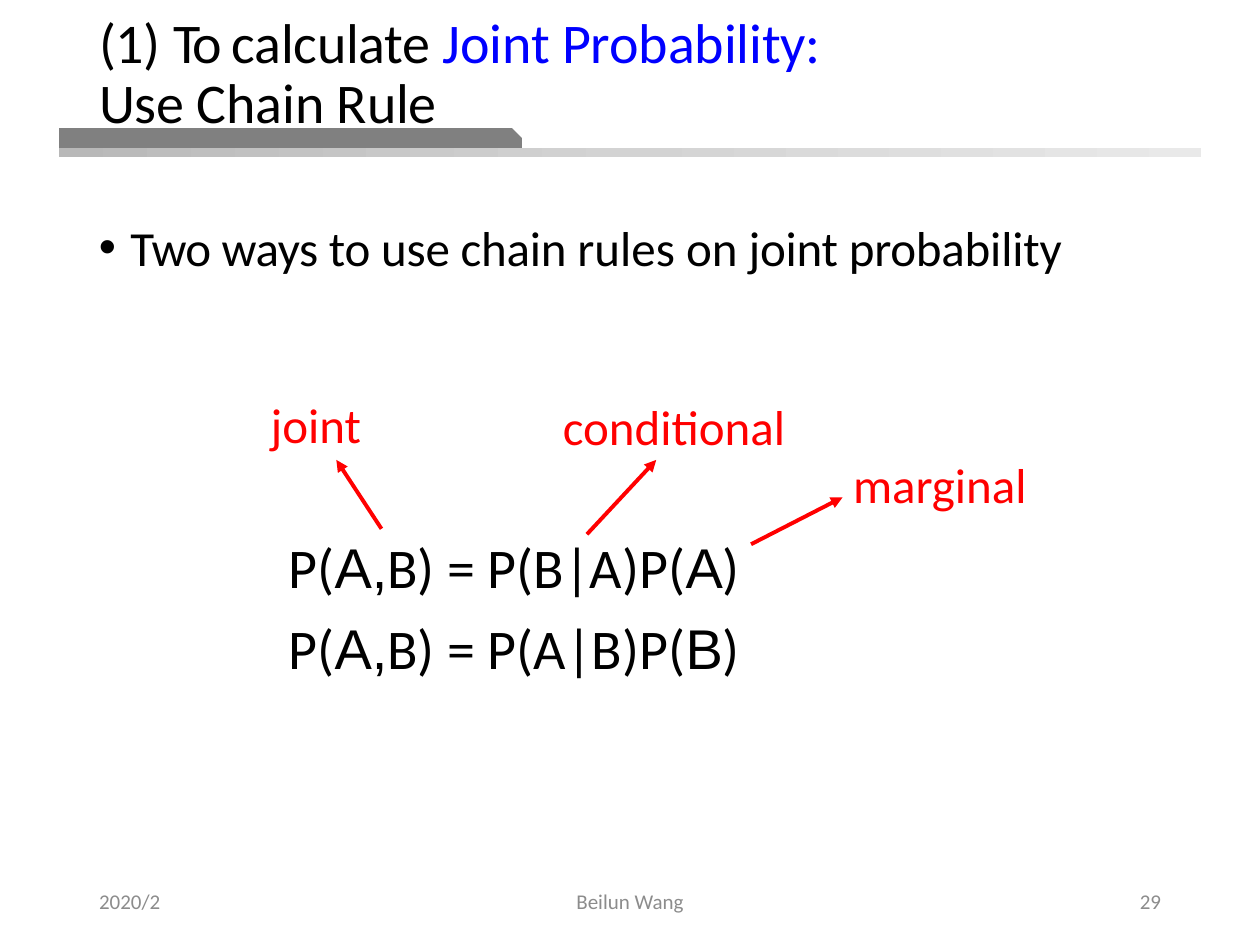
from copy import deepcopy
from typing import NamedTuple

from pptx import Presentation
from pptx.dml.color import RGBColor
from pptx.enum.shapes import MSO_CONNECTOR, MSO_SHAPE
from pptx.enum.text import MSO_ANCHOR, PP_ALIGN
from pptx.oxml.ns import qn
from pptx.oxml.xmlchemy import OxmlElement
from pptx.util import Pt

BLACK, BLUE, RED, GREY = "000000", "0000FF", "FF0000", "8C8C8C"


class Run(NamedTuple):
    text: str
    gap: float = 0
    color: str = BLACK
    font: str = "Calibri"


class Box(NamedTuple):
    left: float
    top: float
    width: float
    height: float


class Label(NamedTuple):
    text: str
    box: Box


class Arrow(NamedTuple):
    x1: float
    y1: float
    x2: float
    y2: float


class Foot(NamedTuple):
    text: str
    box: Box
    align: PP_ALIGN


def paint(code: str) -> RGBColor:
    return RGBColor.from_string(code)


def apply(target, style: dict) -> None:
    for name, value in style.items():
        setattr(target, name, value)


def add_frame(slide, box: Box, **style):
    frame = slide.shapes.add_textbox(*map(Pt, box)).text_frame
    apply(frame, {"word_wrap": True, **style})
    return frame


def add_runs(para, runs: list[Run], size: float, **style) -> None:
    apply(para, style)
    for item in runs:
        run = para.add_run()
        run.text = item.text
        apply(run.font, {"size": Pt(size), "name": item.font})
        run.font.color.rgb = paint(item.color)
        if item.gap:
            run._r.get_or_add_rPr().set("spc", str(round(item.gap * 100)))


def add_bar(slide, kind: MSO_SHAPE, box: Box):
    bar = slide.shapes.add_shape(kind, *map(Pt, box))
    bar.shadow.inherit = False
    bar.line.fill.background()
    return bar


def add_arrow(slide, arrow: Arrow) -> None:
    line = slide.shapes.add_connector(MSO_CONNECTOR.STRAIGHT, *map(Pt, arrow))
    line.line.width = Pt(2.25)
    line.line.color.rgb = paint(RED)
    tail = OxmlElement("a:tailEnd")
    tail.set("type", "triangle")
    line.line._get_or_add_ln().append(tail)
    line._element.spPr.append(OxmlElement("a:effectLst"))


def add_rule(slide) -> None:
    # Fading strip with three colour stops
    strip = add_bar(slide, MSO_SHAPE.RECTANGLE, Box(33.8, 84.4, 652.4, 5.6))
    strip.fill.gradient()
    strip.fill.gradient_angle = 0
    stops = strip._element.spPr.find(f".//{qn('a:gsLst')}")
    stops.insert(1, deepcopy(stops[0]))
    shades = [(0, "B8B8B8"), (0.5, "D3D3D3"), (1, "E9E9E9")]
    for stop, (place, code) in zip(strip.fill.gradient_stops, shades):
        stop.position = place
        stop.color.rgb = paint(code)
    # Dark tab above the strip
    tab = add_bar(slide, MSO_SHAPE.SNIP_1_RECTANGLE, Box(33.8, 73.2, 264.4, 11.4))
    tab.adjustments[0] = 0.5
    tab.fill.solid()
    tab.fill.fore_color.rgb = paint("808080")


def add_title(slide) -> None:
    para = add_frame(slide, Box(49.5, 5, 603.4, 46)).paragraphs[0]
    add_runs(para, [Run("(1) ", -0.1), Run("To ", -1.8), Run("calculate ", -0.2),
                    Run("Joint Probability: ", -0.1, BLUE)], 32, line_spacing=0.9)
    para.add_line_break()
    add_runs(para, [Run("Use Chain Rule", -0.1)], 32)


def add_point(slide) -> None:
    para = add_frame(slide, Box(49.5, 127.5, 621, 359.3)).paragraphs[0]
    add_runs(para, [Run("Two ", -0.4), Run("ways ", -0.2), Run("to use chain ", -0.1),
                    Run("rules on "), Run("joint probability", -0.1)],
             28, line_spacing=0.8, space_before=Pt(10))
    props = para._p.get_or_add_pPr()
    apply_xml = {"marL": Pt(18), "indent": Pt(-18)}
    for name, value in apply_xml.items():
        props.set(name, str(int(value)))
    font, mark = OxmlElement("a:buFont"), OxmlElement("a:buChar")
    font.set("typeface", "Arial")
    mark.set("char", "•")
    props.extend([font, mark])


def add_rules(slide) -> None:
    frame = add_frame(slide, Box(164.2, 295.9, 263.5, 94.3), margin_left=0,
                      margin_right=0, margin_top=Pt(8.6), margin_bottom=0)
    # Greek capitals stand for the events set in Arial
    for row, (given, last, space) in enumerate([("B|A", "Α", 8.7), ("A|B", "Β", 7.7)]):
        para = frame.add_paragraph() if row else frame.paragraphs[0]
        add_runs(para, [Run("P(", -0.1), Run("Α,", -0.1, font="Arial"), Run("B) ", -0.1),
                        Run(f"= P({given})P("), Run(last, font="Arial"), Run(")")],
                 32, space_before=Pt(space))
        para._p.get_or_add_pPr().set("marL", str(int(Pt(0.9))))


LABELS = [
    Label("joint", Box(147.6, 221.8, 68.4, 41)),
    Label("conditional", Box(314.6, 223.2, 165.6, 41)),
    Label("marginal", Box(480.4, 256.3, 126.7, 41)),
]
ARROWS = [
    Arrow(218, 302.2, 192.2, 262.8),
    Arrow(335.4, 305.3, 375, 262.8),
    Arrow(429.2, 311, 481.5, 284.2),
]
FEET = [
    Foot("2020/2", Box(49.5, 500.5, 162, 28.8), PP_ALIGN.LEFT),
    Foot("Beilun Wang", Box(238.5, 500.5, 243, 28.8), PP_ALIGN.CENTER),
    Foot("29", Box(508.5, 500.5, 162, 28.8), PP_ALIGN.RIGHT),
]


def main() -> None:
    deck = Presentation()
    apply(deck, {"slide_width": Pt(720), "slide_height": Pt(540)})
    slide = deck.slides.add_slide(deck.slide_layouts[6])

    # Heading and bullet
    add_rule(slide)
    add_title(slide)
    add_point(slide)

    # Footer
    for foot in FEET:
        frame = add_frame(slide, foot.box, vertical_anchor=MSO_ANCHOR.MIDDLE)
        add_runs(frame.paragraphs[0], [Run(foot.text, color=GREY)], 12,
                 alignment=foot.align)

    # Formulas with their named terms
    add_rules(slide)
    for arrow in ARROWS:
        add_arrow(slide, arrow)
    for label in LABELS:
        frame = add_frame(slide, label.box)
        add_runs(frame.paragraphs[0], [Run(label.text, color=RED)], 28)

    deck.save("out.pptx")


if __name__ == "__main__":
    main()
